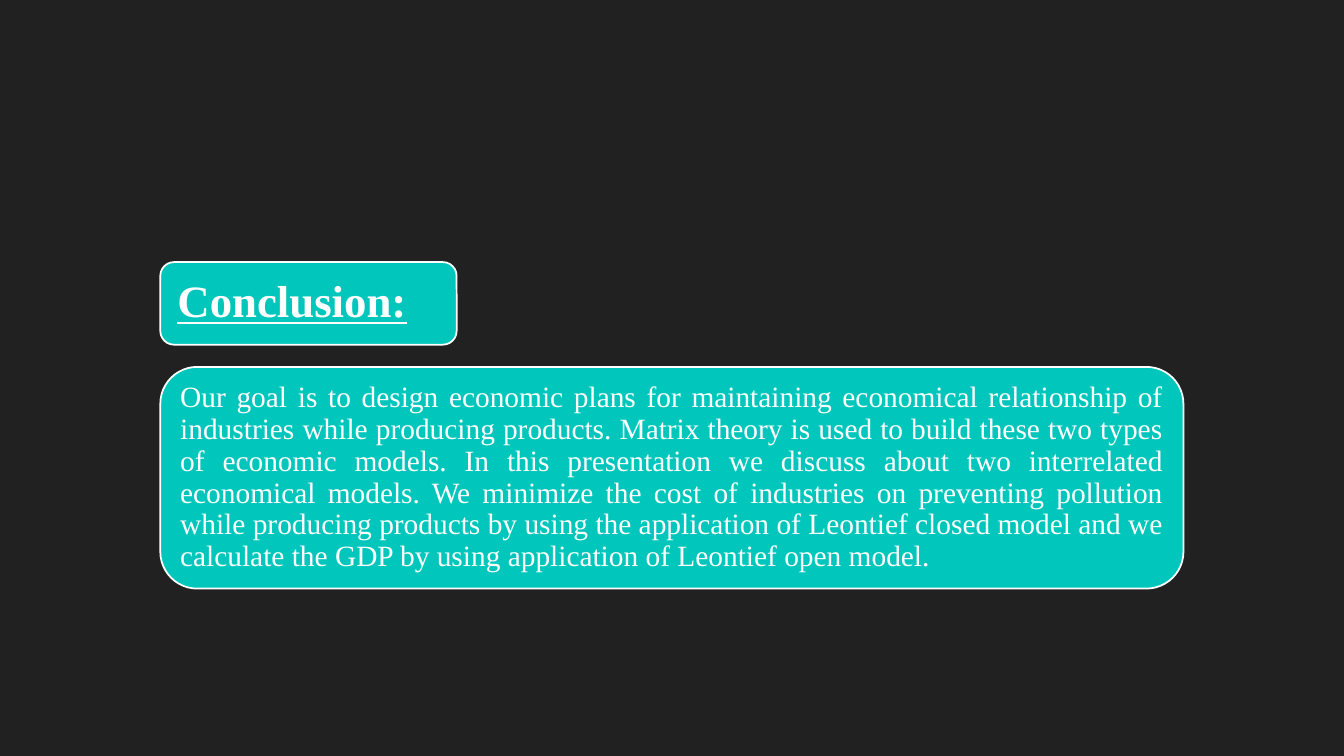
from dataclasses import dataclass

from pptx import Presentation
from pptx.dml.color import RGBColor
from pptx.enum.shapes import MSO_SHAPE
from pptx.enum.text import MSO_ANCHOR, PP_ALIGN
from pptx.slide import Slide
from pptx.util import Inches, Pt

ROUNDED = MSO_SHAPE.ROUNDED_RECTANGLE
MIDDLE = MSO_ANCHOR.MIDDLE
LEFT, JUSTIFY = PP_ALIGN.LEFT, PP_ALIGN.JUSTIFY

BACKGROUND = RGBColor(0x21, 0x21, 0x21)
TEAL = RGBColor(0x00, 0xC6, 0xBB)
WHITE = RGBColor(0xFF, 0xFF, 0xFF)

FONT = "Times New Roman"
SLIDE_W, SLIDE_H = Inches(13.33), Inches(7.5)
PANEL_LEFT = 11.93  # percent of slide width


@dataclass(frozen=True)
class Panel:
    """A rounded panel; top, width and height are percent of the slide."""
    top: float
    width: float
    height: float
    inset: float  # inches
    size: int
    align: PP_ALIGN
    heading: bool
    text: str


PANELS = [
    Panel(34.67, 22.05, 10.93, 0.13, 32, LEFT, True, "Conclusion:"),
    Panel(48.53, 76.13, 29.33, 0.09, 21, JUSTIFY, False,
          "Our goal is to design economic plans for maintaining economical "
          "relationship of industries while producing products. Matrix theory "
          "is used to build these two types of economic models. In this "
          "presentation we discuss about two interrelated economical models. "
          "We minimize the cost of industries on preventing pollution while "
          "producing products by using the application of Leontief closed "
          "model and we calculate the GDP by using application of Leontief "
          "open model."),
]


def across(percent: float) -> int:
    return round(SLIDE_W * percent / 100)


def down(percent: float) -> int:
    return round(SLIDE_H * percent / 100)


def add_panel(s: Slide, panel: Panel) -> None:
    sp = s.shapes.add_shape(ROUNDED, across(PANEL_LEFT), down(panel.top),
                            across(panel.width), down(panel.height))
    sp.shadow.inherit = False
    sp.fill.solid()
    sp.fill.fore_color.rgb = TEAL
    sp.line.color.rgb = WHITE
    sp.line.width = Pt(1.25)

    # Text inside the panel
    tf = sp.text_frame
    tf.word_wrap = True
    tf.vertical_anchor = MIDDLE
    tf.margin_left = tf.margin_right = Inches(panel.inset)
    tf.margin_top = tf.margin_bottom = Inches(panel.inset)
    p = tf.paragraphs[0]
    p.text = panel.text
    p.alignment = panel.align
    p.line_spacing = 0.9
    p.font.name = FONT
    p.font.size = Pt(panel.size)
    p.font.color.rgb = WHITE
    p.font.bold = panel.heading
    p.font.underline = panel.heading


def main() -> None:
    prs = Presentation()
    prs.slide_width, prs.slide_height = SLIDE_W, SLIDE_H
    s = prs.slides.add_slide(prs.slide_layouts[6])

    # Dark background
    s.background.fill.solid()
    s.background.fill.fore_color.rgb = BACKGROUND

    # Heading and body panels
    for panel in PANELS:
        add_panel(s, panel)

    prs.save("out.pptx")


if __name__ == "__main__":
    main()
